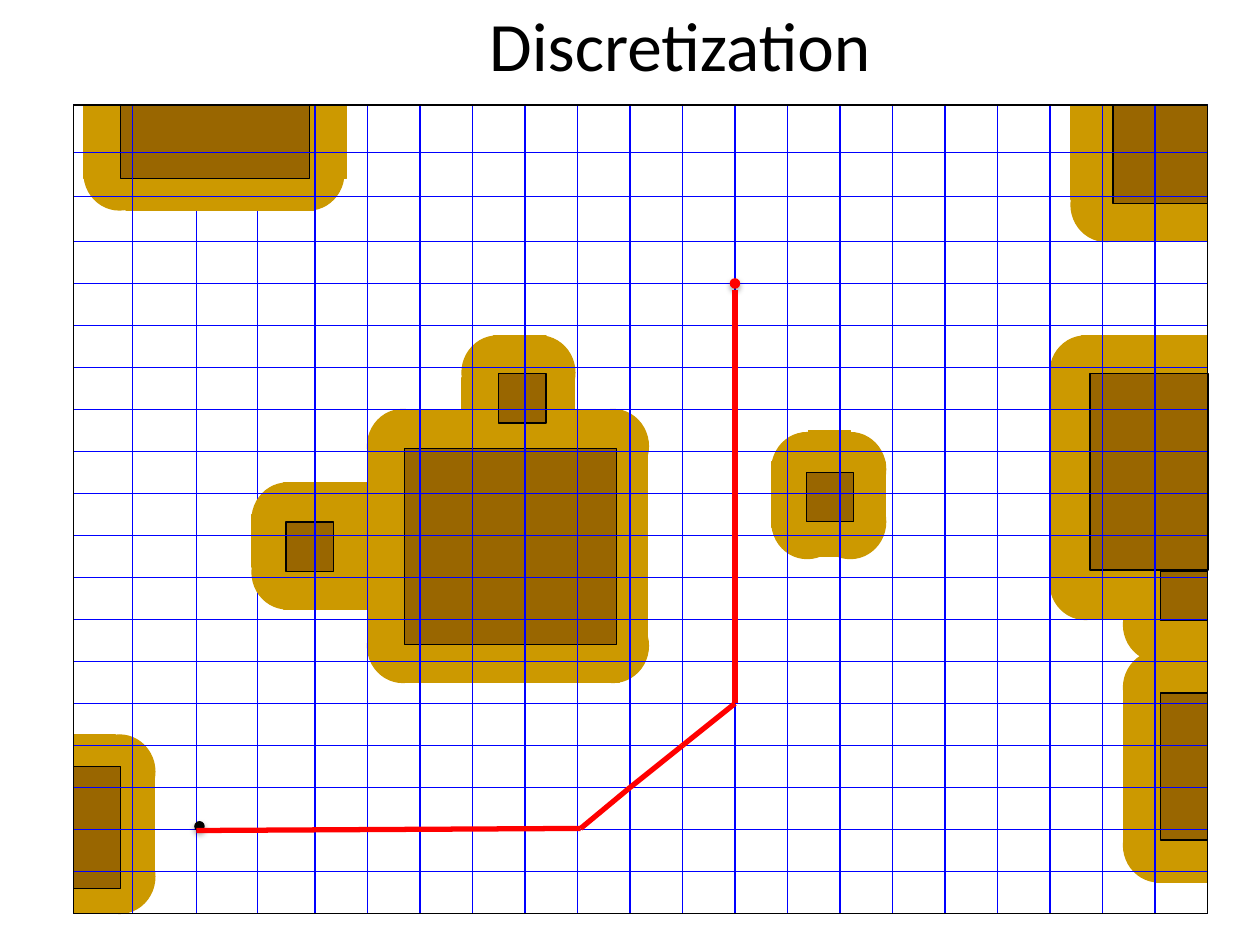
from dataclasses import dataclass
from itertools import pairwise, product
from typing import NamedTuple

import lxml.etree
import pptx
import pptx.dml.color
import pptx.enum.shapes
import pptx.enum.text
import pptx.oxml.ns
import pptx.util

RGBColor = pptx.dml.color.RGBColor
Preset = pptx.enum.shapes.MSO_SHAPE
qn = pptx.oxml.ns.qn

CLEARANCE = RGBColor(0xCC, 0x99, 0x00)
FURNITURE = RGBColor(0x99, 0x66, 0x00)
GRID_BLUE = RGBColor(0x00, 0x00, 0xFF)
ROUTE_RED = RGBColor(0xFF, 0x00, 0x00)
BLACK = RGBColor(0x00, 0x00, 0x00)

CELLS_PER_INCH = 12
THIN, THICK = 0.75, 3


class Box(NamedTuple):
    col: float
    row: float
    cols: float
    rows: float


class Point(NamedTuple):
    col: float
    row: float


@dataclass(frozen=True)
class Obstacle:
    core: Box
    halos: tuple[Box, ...]
    corners: tuple[Point, ...] = ()
    grouped: bool = False


def corner_grid(cols: tuple[float, ...], rows: tuple[float, ...]) -> tuple[Point, ...]:
    return tuple(Point(col, row) for col, row in product(cols, rows))


ROOM = Box(7, 10, 108, 77)
CORNER_COLS, CORNER_ROWS = 6.75, 7
DOT = 1

OBSTACLES = (
    Obstacle(Box(7, 73, 4.5, 11.6),
             (Box(7, 70, 4, 17), Box(7, 73, 7.7, 11)),
             corner_grid((8,), (70, 80))),
    Obstacle(Box(38.5, 42.7, 20.25, 18.7),
             (Box(35, 42, 26.7, 20), Box(38, 39, 21, 26)),
             corner_grid((35, 55), (39, 58))),
    Obstacle(Box(47.5, 35.6, 4.5, 4.7),
             (Box(47, 32, 5, 8), Box(44, 36, 10.7, 5)),
             corner_grid((44, 48), (32, 37)), True),
    Obstacle(Box(27.25, 49.7, 4.5, 4.7),
             (Box(27, 46, 11, 12), Box(24, 49, 12, 5)),
             corner_grid((24, 28), (46, 51)), True),
    Obstacle(Box(76.8, 45, 4.5, 4.7),
             (Box(73.5, 44, 10.8, 6.2), Box(77, 41, 4, 12)),
             corner_grid((73.5, 77.6), (41.2, 46.2)), True),
    Obstacle(Box(11.5, 10, 18, 7),
             (Box(8, 10, 25, 7), Box(12, 13, 18, 7)),
             corner_grid((8, 26), (13,))),
    Obstacle(Box(106, 10, 9, 9.4),
             (Box(102, 10, 7, 9), Box(105, 18, 10, 5)),
             corner_grid((102,), (16,))),
    Obstacle(Box(103.8, 35.6, 11.25, 18.7),
             (Box(103, 32, 12, 5), Box(100, 35, 6, 20), Box(103, 54, 9, 5)),
             corner_grid((100,), (32, 52))),
    Obstacle(Box(110.5, 54.4, 4.5, 4.7),
             (Box(111, 58, 4, 9),),
             corner_grid((107,), (56,))),
    Obstacle(Box(110.5, 66, 4.5, 14),
             (Box(107, 66, 5, 14), Box(110, 80, 5, 4)),
             corner_grid((107,), (62, 77))),
)

HIDDEN_ROW = Point(79, 4)
HIDDEN_STRIPS = (Box(ROOM.col, 79, ROOM.cols, 4), Box(18.7, ROOM.row, 5.8, ROOM.rows))
ROW_STRIPS = ((10, 4.5), (18.75, 4.25)) + tuple((row, 4) for row in range(23, 87, 4) if row != 79)
COLUMN_STRIPS = ((7, 5.6),) + tuple((col, 5) for col in range(30, 115, 5))

ROUTE = (Point(70, 27.6), Point(70, 67), Point(65, 71), Point(60, 75),
         Point(55.3, 78.9), Point(18.7, 79.1))
START, GOAL = Point(18.5, 78.2), Point(69.5, 26.5)


def cells(count: float) -> int:
    return pptx.util.Inches(count / CELLS_PER_INCH)


def draw_box(shapes, preset: Preset, box: Box,
             fill: RGBColor | None, line: RGBColor | None):
    shape = shapes.add_shape(preset, *map(cells, box))
    shape.shadow.inherit = False
    if fill is None:
        shape.fill.background()
    else:
        shape.fill.solid()
        shape.fill.fore_color.rgb = fill
    if line is None:
        shape.line.fill.background()
    else:
        shape.line.color.rgb = line
        shape.line.width = pptx.util.Pt(THIN)
    return shape


def draw_corners(shapes, obstacle: Obstacle) -> None:
    target = shapes.add_group_shape().shapes if obstacle.grouped else shapes
    for corner in obstacle.corners:
        draw_box(target, Preset.OVAL, Box(*corner, CORNER_COLS, CORNER_ROWS), CLEARANCE, CLEARANCE)


def draw_obstacle(shapes, obstacle: Obstacle) -> None:
    for halo in obstacle.halos:
        draw_box(shapes, Preset.RECTANGLE, halo, CLEARANCE, CLEARANCE)
    draw_box(shapes, Preset.RECTANGLE, obstacle.core, FURNITURE, BLACK)


def draw_grid(shapes) -> None:
    for row, rows in ROW_STRIPS:
        draw_box(shapes, Preset.RECTANGLE, Box(ROOM.col, row, ROOM.cols, rows), None, GRID_BLUE)
    for col, cols in COLUMN_STRIPS:
        draw_box(shapes, Preset.RECTANGLE, Box(col, ROOM.row, cols, ROOM.rows), None, GRID_BLUE)
    draw_box(shapes, Preset.RECTANGLE, ROOM, None, BLACK)


def draw_dot(shapes, place: Point, color: RGBColor) -> None:
    dot = draw_box(shapes, Preset.OVAL, Box(*place, DOT, DOT), color, None)
    effects = dot._element.spPr.find(qn("a:effectLst"))
    shadow = lxml.etree.SubElement(
        effects, qn("a:outerShdw"), blurRad=str(pptx.util.Pt(3.1)),
        dist=str(pptx.util.Pt(1.8)), dir="5400000", rotWithShape="0")
    tint = lxml.etree.SubElement(shadow, qn("a:srgbClr"), val=str(BLACK))
    lxml.etree.SubElement(tint, qn("a:alpha"), val="35000")


def draw_route(shapes) -> None:
    legs = shapes.add_group_shape().shapes
    for begin, end in pairwise(ROUTE):
        leg = legs.add_connector(pptx.enum.shapes.MSO_CONNECTOR.STRAIGHT,
                                 *map(cells, begin + end))
        leg.line.color.rgb = ROUTE_RED
        leg.line.width = pptx.util.Pt(THICK)
        lxml.etree.SubElement(leg._element.spPr, qn("a:effectLst"))


def write_title(title) -> None:
    title.left, title.top, title.width, title.height = map(cells, Box(9.5, 0, 110.5, 8.4))
    title.text_frame.text = "Discretization"
    title.text_frame.vertical_anchor = pptx.enum.text.MSO_ANCHOR.MIDDLE
    paragraph = title.text_frame.paragraphs[0]
    paragraph.alignment = pptx.enum.text.PP_ALIGN.CENTER
    font = paragraph.runs[0].font
    font.name = "Calibri"
    font.size = pptx.util.Pt(39.6)
    font.color.rgb = BLACK


def main() -> None:
    deck = pptx.Presentation()
    deck.slide_width, deck.slide_height = pptx.util.Inches(10), pptx.util.Inches(7.5)
    slide = deck.slides.add_slide(deck.slide_layouts[5])
    shapes = slide.shapes
    write_title(shapes.title)
    for strip in HIDDEN_STRIPS:
        draw_box(shapes, Preset.RECTANGLE, strip, None, GRID_BLUE)
    for obstacle in OBSTACLES:
        draw_corners(shapes, obstacle)
    for obstacle in OBSTACLES:
        draw_obstacle(shapes, obstacle)
    draw_grid(shapes)
    draw_dot(shapes, START, BLACK)
    draw_dot(shapes, GOAL, ROUTE_RED)
    draw_route(shapes)
    deck.save("out.pptx")


if __name__ == "__main__":
    main()
